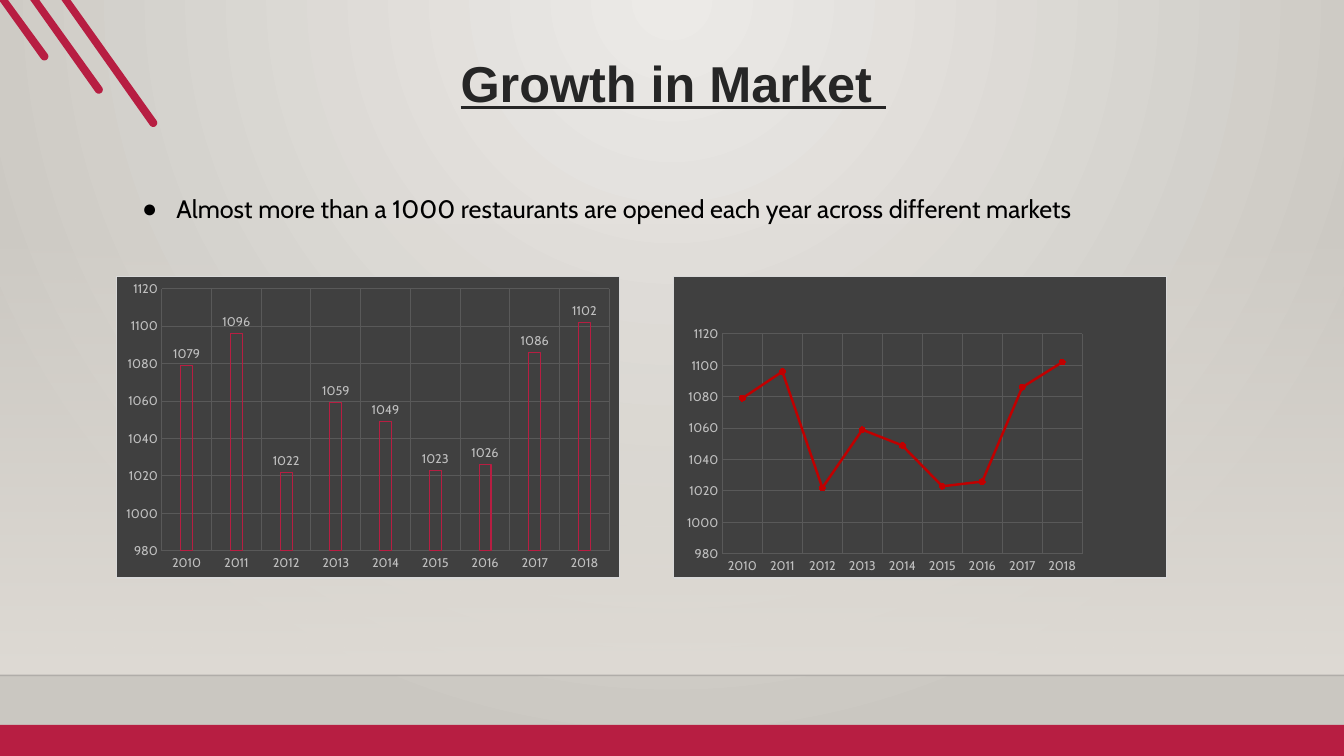
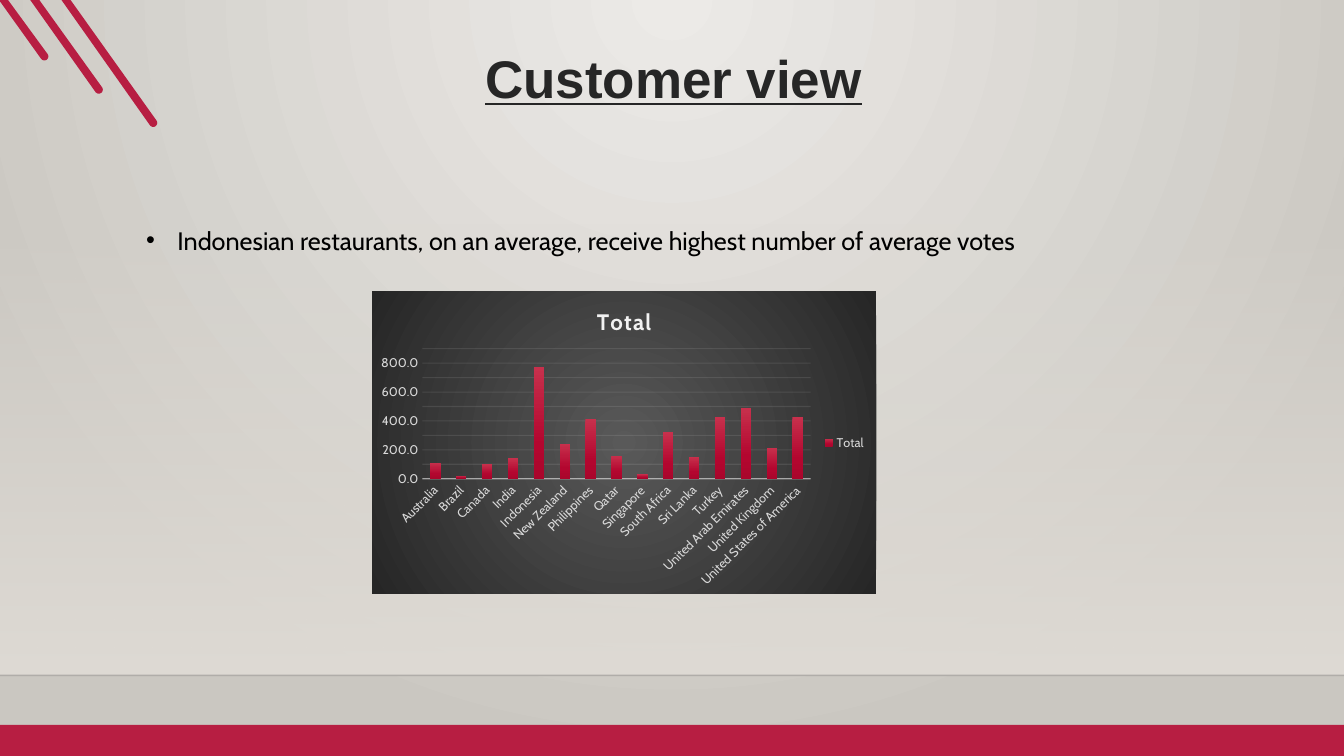
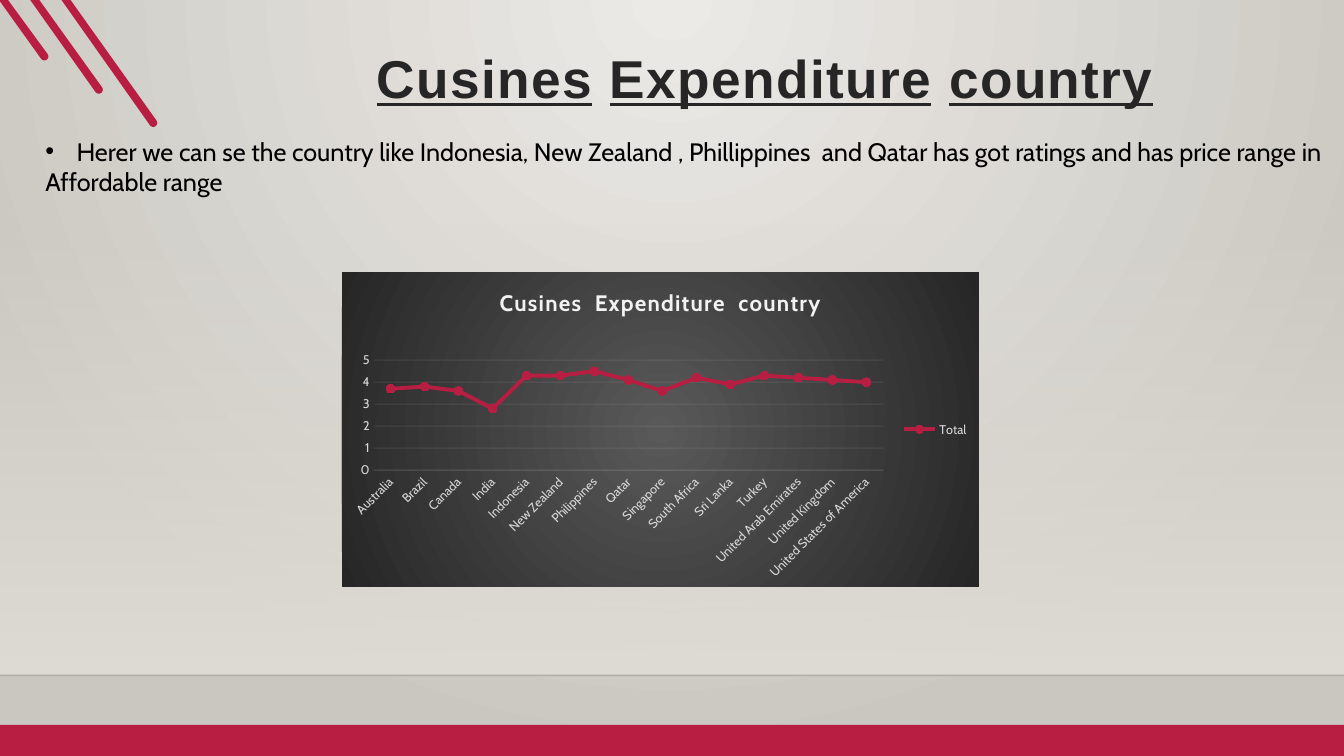
from math import cos, sin, pi, radians

from pptx import Presentation
from pptx.chart.data import CategoryChartData as Data
from pptx.dml.color import RGBColor
from pptx.enum.chart import (XL_CHART_TYPE as Kind, XL_LABEL_POSITION as Spot,
                             XL_LEGEND_POSITION as Side, XL_MARKER_STYLE as Mark,
                             XL_TICK_MARK as Tick)
from pptx.enum.shapes import MSO_CONNECTOR as Conn, MSO_SHAPE as Shape
from pptx.enum.text import MSO_ANCHOR as Anchor, MSO_AUTO_SIZE as Auto, PP_ALIGN as Align
from pptx.oxml import parse_xml
from pptx.oxml.ns import nsdecls, qn
from pptx.util import Inches, Pt

WIDE, HIGH = Inches(13.33), Inches(7.5)
RED, DARK, COAL, PALE, SNOW = "B71E42", "262626", "404040", "D9D9D9", "F2F2F2"
SAND, GREY, BLOOD, BLACK = "DFDBD5", "BFBFBF", "C00000", "000000"
HEAD, TEXT = "Arial", "Cabin"
FLOOR, BAND = 89.33, 95.87
GLOW = ([(0, "595959", 100), (100, DARK, 100)], (50, 50, 50, 50))
SHEEN = ([(0, "C7304C", 100), (69, "B3062F", 100), (100, "AA062C", 100)], None)
YEARS = [str(y) for y in range(2010, 2019)]
OPENED = [1079, 1096, 1022, 1059, 1049, 1023, 1026, 1086, 1102]
LANDS = ["Australia", "Brazil", "Canada", "India", "Indonesia", "New Zealand",
         "Philippines", "Qatar", "Singapore", "South Africa", "Sri Lanka", "Turkey",
         "United Arab Emirates", "United Kingdom", "United States of America"]
VOTES = [110, 20, 100, 140, 770, 240, 410, 160, 30, 320, 150, 430, 490, 210, 430]
RATES = [3.7, 3.8, 3.6, 2.8, 4.3, 4.3, 4.5, 4.1, 3.6, 4.2, 3.9, 4.3, 4.2, 4.1, 4]


def rgb(code):
    return RGBColor.from_string(code)


def place(left, top, wide, high):
    """Turn percent shares of the slide into lengths."""
    return [int(v * full / 100) for v, full in
            zip((left, top, wide, high), (WIDE, HIGH, WIDE, HIGH))]


def setall(obj, **vals):
    for key, val in vals.items():
        setattr(obj, key, val)


def style(font, size, color, **more):
    setall(font, **{"name": TEXT, "size": Pt(size), **more})
    font.color.rgb = rgb(color)


def grad(stops, focus=None):
    """Gradient element: towards the focus rectangle, or top to bottom without one."""
    marks = "".join(
        f'<a:gs pos="{at * 1000}"><a:srgbClr val="{code}"><a:alpha val="{seen * 1000}"/>'
        f'</a:srgbClr></a:gs>' for at, code, seen in stops)
    way = '<a:lin ang="5400000" scaled="0"/>'
    if focus:
        rect = " ".join(f'{k}="{v * 1000}"' for k, v in zip("ltrb", focus))
        way = f'<a:path path="circle"><a:fillToRect {rect}/></a:path>'
    return parse_xml(f'<a:gradFill {nsdecls("a")} rotWithShape="1">'
                     f'<a:gsLst>{marks}</a:gsLst>{way}</a:gradFill>')


def blend(fill, root, stops, focus=None):
    fill.gradient()
    old = root.find(".//" + qn("a:gradFill"))
    old.getparent().replace(old, grad(stops, focus))


def stroke(owner, color, width, seen=100):
    owner.line.color.rgb = rgb(color)
    owner.line.width = Pt(width)
    if seen < 100:
        hue = owner._element.find(f'.//{qn("a:ln")}//{qn("a:srgbClr")}')
        hue.append(parse_xml(f'<a:alpha {nsdecls("a")} val="{seen * 1000}"/>'))


def slashes(shapes):
    """Three slanted bars from the top edge, each with a round tip."""
    tilt, rad = radians(54.6), 0.04
    pen = None
    for n in range(3):
        x, cx, cy = -0.01 + 0.31 * n, 0.44 + 0.54 * n, 0.56 + 0.33 * n
        tip = [(cx + rad * cos(a), cy + rad * sin(a))
               for a in (tilt + pi / 2 - pi * k / 10 for k in range(11))]
        pts = [(Inches(px), Inches(py)) for px, py in [(x, 0), *tip, (x + 0.09, 0)]]
        if pen is None:
            pen = shapes.build_freeform(*pts[0])
        else:
            pen.move_to(*pts[0])
        pen.add_line_segments(pts[1:], close=True)
    return pen.convert_to_shape()


def decor(master, slide):
    """Draw the shared backdrop and move it to the master."""
    blend(master.background.fill, master._element,
          [(0, "ECEAE7", 100), (100, "CAC7C1", 100)], (43, 0, 43, 100))
    shapes = slide.shapes
    top = 29.47
    haze = shapes.add_shape(Shape.RECTANGLE, *place(0, top, 100, FLOOR - top))
    blend(haze.fill, haze._element, [(0, SAND, 0), (100, SAND, 100)])
    y = int(HIGH * FLOOR / 100)
    rule = shapes.add_connector(Conn.STRAIGHT, 0, y, WIDE, y)
    stroke(rule, "000001", 1, 20)
    rule._element.spPr.append(parse_xml(f'<a:effectLst {nsdecls("a")}/>'))
    band = shapes.add_shape(Shape.RECTANGLE, *place(0, BAND, 100, 100 - BAND))
    bars = slashes(shapes)
    for part in (band, bars):
        part.fill.solid()
        part.fill.fore_color.rgb = rgb(RED)
    for part in (haze, band, bars):
        part.line.fill.background()
        part.shadow.inherit = False
    for n, part in enumerate((haze, rule, band, bars)):
        next(part._element.iter(qn("p:cNvPr"))).set("id", str(50 + n))
        master.shapes._spTree.insert(2 + n, part._element)


def heading(slide, box, parts, size, lead=1.0, gap=0):
    """Title of underlined parts with plain spaces between them."""
    title = slide.shapes.title
    setall(title, **dict(zip(("left", "top", "width", "height"), place(*box))))
    frame = title.text_frame
    setall(frame, auto_size=Auto.NONE, word_wrap=True, vertical_anchor=Anchor.MIDDLE)
    para = frame.paragraphs[0]
    setall(para, alignment=Align.CENTER, line_spacing=lead)
    for n, part in enumerate(parts):
        for text, under in ([(" ", False)] if n else []) + [(part, True)]:
            run = para.add_run()
            run.text = text
            style(run.font, size, DARK, name=HEAD, bold=True, underline=under)
            if gap:
                run._r.get_or_add_rPr().set("spc", str(gap))


def points(slide, box, lines, sign="•", left=0.31, hang=0.31):
    """Body list: the first line has a bullet, the others run on without."""
    body = slide.placeholders[1]
    setall(body, **dict(zip(("left", "top", "width", "height"), place(*box))))
    frame = body.text_frame
    setall(frame, auto_size=Auto.NONE, word_wrap=True, vertical_anchor=Anchor.TOP)
    for n, line in enumerate(lines):
        para = frame.add_paragraph() if n else frame.paragraphs[0]
        props = para._p.get_or_add_pPr()
        props.set("marL", str(0 if n else Inches(left)))
        props.set("indent", str(0 if n else -Inches(hang)))
        marks = ["<a:buNone {}/>"] if n else ['<a:buFont {} typeface="Arial"/>',
                                              f'<a:buChar {{}} char="{sign}"/>']
        for mark in marks:
            props.append(parse_xml(mark.format(nsdecls("a"))))
        setall(para, space_before=Pt(0), alignment=Align.LEFT)
        run = para.add_run()
        run.text = line
        style(run.font, 18, BLACK)


def panel(chart, fill, edge=None):
    """Fill and border of the whole chart."""
    props = parse_xml(f'<c:spPr {nsdecls("c", "a")}/>')
    props.append(fill)
    line = (f'<a:solidFill><a:srgbClr val="{edge}"/></a:solidFill>' if edge
            else "<a:noFill/>")
    props.append(parse_xml(f'<a:ln {nsdecls("a")} w="9525">{line}</a:ln>'))
    chart._chartSpace.find(qn("c:chart")).addnext(props)


def inner(chart, *shares):
    """Set the plot's inner box as shares of the chart."""
    area = chart._chartSpace.find(f'{qn("c:chart")}/{qn("c:plotArea")}')
    for old in area.findall(qn("c:layout")):
        area.remove(old)
    size = "".join(f'<c:{k} val="{v}"/>' for k, v in zip("xywh", shares))
    area.insert(0, parse_xml(
        f'<c:layout {nsdecls("c")}><c:manualLayout><c:layoutTarget val="inner"/>'
        f'<c:xMode val="edge"/><c:yMode val="edge"/>{size}</c:manualLayout></c:layout>'))


def graph(slide, box, kind, cats, name, vals, plot, scale, tint):
    """Add a chart with one series; scale is the value axis's low, high and step."""
    data = Data()
    data.categories = cats
    data.add_series(name, vals)
    chart = slide.shapes.add_chart(kind, *place(*box), data).chart
    style(chart.font, 10, BLACK)
    setall(chart, has_title=False, has_legend=False)
    chart.plots[0].vary_by_categories = False
    for axis in (chart.category_axis, chart.value_axis):
        setall(axis, major_tick_mark=Tick.NONE, minor_tick_mark=Tick.NONE,
               has_major_gridlines=False)
        axis.format.line.fill.background()
        style(axis.tick_labels.font, 9, tint)
    low, high, step = scale
    setall(chart.value_axis, minimum_scale=low, maximum_scale=high, major_unit=step)
    inner(chart, *plot)
    return chart


def trend(chart, color, width, dot):
    line = chart.series[0]
    line.smooth = False
    stroke(line.format, color, width)
    setall(line.marker, style=Mark.CIRCLE, size=dot)
    line.marker.format.fill.solid()
    line.marker.format.fill.fore_color.rgb = rgb(color)
    stroke(line.marker.format, color, 0.75)


def yearly(slide, box, kind, plot):
    """Chart of openings by year on a flat dark panel with a full grid."""
    chart = graph(slide, box, kind, YEARS, "Series 1", OPENED, plot, (980, 1120, 20), GREY)
    for axis in (chart.category_axis, chart.value_axis):
        stroke(axis.major_gridlines.format, "595959", 0.75)
    panel(chart, parse_xml(f'<a:solidFill {nsdecls("a")}><a:srgbClr val="{COAL}"/>'
                           '</a:solidFill>'), PALE)
    return chart


def byland(slide, box, kind, vals, title, plot, scale, form, base):
    """Chart by country on a glowing panel with title and legend."""
    chart = graph(slide, box, kind, LANDS, "Total", vals, plot, scale, PALE)
    stroke(chart.value_axis.major_gridlines.format, SNOW, 0.75, 10)
    stroke(chart.category_axis.format, SNOW, *base)
    setall(chart.value_axis.tick_labels, number_format=form, number_format_is_linked=False)
    turn = chart.category_axis._element.find(f'{qn("c:txPr")}/{qn("a:bodyPr")}')
    for key, val in {"rot": "-2700000", "vert": "horz"}.items():
        turn.set(key, val)
    chart.has_legend = True
    setall(chart.legend, position=Side.RIGHT, include_in_layout=False)
    style(chart.legend.font, 9, PALE)
    run = chart.chart_title.text_frame.paragraphs[0].add_run()
    run.text = title
    style(run.font, 16, SNOW, bold=True)
    run._r.get_or_add_rPr().set("spc", "100")
    chart.chart_title.include_in_layout = False
    panel(chart, grad(*GLOW))
    return chart


def growth(slide):
    heading(slide, (2.62, 4.8, 94.97, 10.53), ["Growth in Market "], 36, 1.2)
    points(slide, (8.63, 24.93, 76.07, 5.33),
           ["Almost more than a 1000 restaurants are opened each year across "
            "different markets"], "●", 0.5, 0.34)
    top, high = 36.53, 40
    chart = yearly(slide, (8.63, top, 37.5, high), Kind.COLUMN_CLUSTERED,
                   (0.09, 0.04, 0.89, 0.87))
    setall(chart.plots[0], gap_width=315, overlap=-40)
    bars = chart.series[0]
    bars.format.fill.background()
    stroke(bars.format, RED, 0.75)
    setall(bars.data_labels, show_value=True, position=Spot.OUTSIDE_END)
    style(bars.data_labels.font, 9, GREY)
    chart = yearly(slide, (50.04, top, 36.76, high), Kind.LINE_MARKERS,
                   (0.1, 0.19, 0.73, 0.73))
    trend(chart, BLOOD, 1.75, 4)


def views(slide):
    heading(slide, (2.62, 4.93, 94.97, 10.53), ["Customer view"], 37.8)
    points(slide, (10.13, 29.07, 79.74, 9.47),
           ["Indonesian restaurants, on an average, receive highest number of "
            "average votes"])
    chart = byland(slide, (27.68, 38.53, 37.51, 40), Kind.COLUMN_STACKED, VOTES, "Total",
                   (0.1, 0.19, 0.77, 0.43), (0, 900, 100), "0.0", (1, 54))
    setall(chart.plots[0], gap_width=150, overlap=100)
    bars = chart.series[0]
    blend(bars.format.fill, bars._element, *SHEEN)


def spend(slide):
    words = ["Cusines", "Expenditure", "country"]
    heading(slide, (22.13, 5.33, 69.54, 9.87), words, 38, gap=100)
    points(slide, (2.62, 17.33, 97.38, 13.47),
           ["Herer we can se the country like Indonesia, New Zealand , Phillippines  and "
            "Qatar has got ratings and has price range in", "Affordable range"])
    chart = byland(slide, (25.43, 36, 47.41, 41.6), Kind.LINE_MARKERS, RATES,
                   "  ".join(words), (0.05, 0.28, 0.8, 0.35), (0, 5, 1), "0", (0.75, 10))
    trend(chart, RED, 2.75, 6)


def main():
    deck = Presentation()
    setall(deck, slide_width=WIDE, slide_height=HIGH)
    for n, build in enumerate((growth, views, spend)):
        slide = deck.slides.add_slide(deck.slide_layouts[1])
        if not n:
            decor(deck.slide_master, slide)
        build(slide)
    deck.save("out.pptx")


if __name__ == "__main__":
    main()
